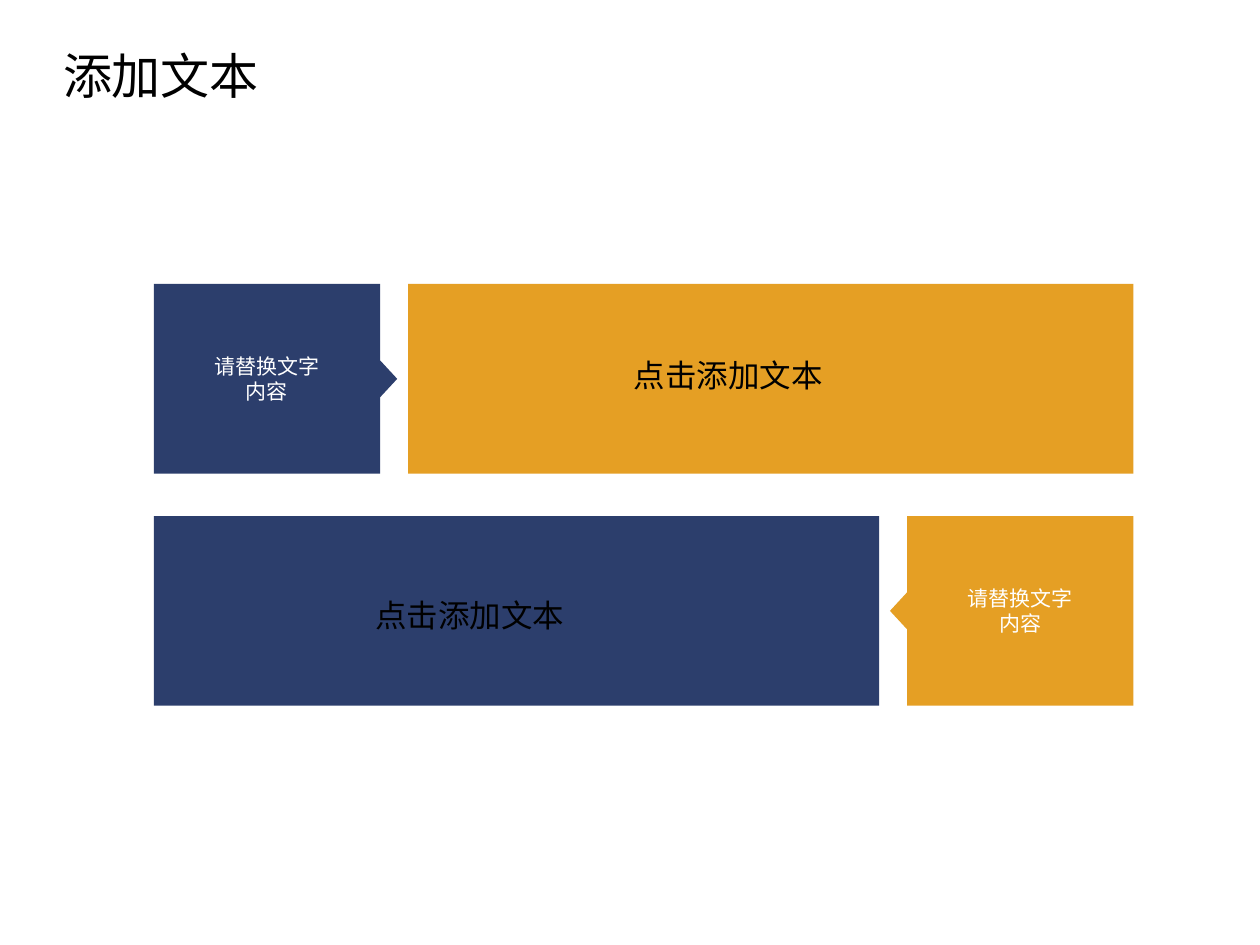
from dataclasses import dataclass

from lxml import etree
from pptx import Presentation
from pptx.dml.color import RGBColor
from pptx.enum.shapes import MSO_SHAPE
from pptx.enum.text import MSO_ANCHOR, MSO_AUTO_SIZE, PP_ALIGN
from pptx.oxml.ns import qn
from pptx.util import Pt

RECTANGLE = MSO_SHAPE.RECTANGLE
TOP = MSO_ANCHOR.TOP
NO_AUTOFIT = MSO_AUTO_SIZE.NONE
LEFT, CENTER = PP_ALIGN.LEFT, PP_ALIGN.CENTER

NAVY, AMBER, WHITE, BLACK = "2C3E6C", "E59F24", "FFFFFF", "000000"
LABEL_FONT, BODY_FONT = "Arial", "Noto Sans CJK SC"

# Grid of the two rows, in points
ROW_LEFT, ROW_RIGHT = 88, 647.6
ROW_HEIGHT = 108.4
TAG_WIDTH, PANEL_WIDTH = 129.2, 414.4
POINTER_DEPTH, POINTER_HALF = 9.8, 10.6
LABEL_WIDTH, LABEL_HEIGHT, LABEL_DROP = 65.5, 28.8, 39.8


@dataclass
class TextStyle:
    size: float
    font: str
    color: str
    align: PP_ALIGN = LEFT
    wrap: bool = False
    inset_x: float = 7.2
    inset_y: float = 3.6


@dataclass
class Row:
    top: float
    tag_on_left: bool
    tag_color: str
    panel_color: str
    label_left: float
    panel_text_at: tuple[float, float]


TITLE_STYLE = TextStyle(28, BODY_FONT, BLACK)
PANEL_STYLE = TextStyle(18, BODY_FONT, BLACK)
LABEL_STYLE = TextStyle(12, LABEL_FONT, WHITE, CENTER, True, 0, 0)

ROWS = [
    Row(162.3, True, NAVY, AMBER, 119.6, (355, 199.7)),
    Row(294.9, False, AMBER, NAVY, 550.3, (207.5, 337)),
]


def rgb(color: str) -> RGBColor:
    return RGBColor.from_string(color)


def paint(shape, color: str) -> None:
    shape.shadow.inherit = False
    shape.fill.solid()
    shape.fill.fore_color.rgb = rgb(color)
    shape.line.fill.background()


def write(shape, text: str, style: TextStyle) -> None:
    frame = shape.text_frame
    frame_format = {
        "word_wrap": style.wrap,
        "auto_size": NO_AUTOFIT,
        "vertical_anchor": TOP,
        "margin_left": Pt(style.inset_x),
        "margin_right": Pt(style.inset_x),
        "margin_top": Pt(style.inset_y),
        "margin_bottom": Pt(style.inset_y),
    }
    for attribute, value in frame_format.items():
        setattr(frame, attribute, value)
    paragraph = frame.paragraphs[0]
    paragraph.alignment = style.align
    run = paragraph.add_run()
    run.text = text
    for attribute, value in {"size": Pt(style.size), "name": style.font}.items():
        setattr(run.font, attribute, value)
    run.font.color.rgb = rgb(style.color)
    # Chinese characters take the East Asian typeface
    east_asian = etree.SubElement(run.font._element, qn("a:ea"))
    east_asian.set("typeface", style.font)


def add_text(slide, left: float, top: float, width: float, height: float,
             text: str, style: TextStyle) -> None:
    box = slide.shapes.add_textbox(Pt(left), Pt(top), Pt(width), Pt(height))
    write(box, text, style)


def add_tag(slide, row: Row) -> None:
    """Draw the small box whose pointer aims at the panel."""
    if row.tag_on_left:
        outer, inner, tip = ROW_LEFT, ROW_LEFT + TAG_WIDTH, POINTER_DEPTH
    else:
        outer, inner, tip = ROW_RIGHT, ROW_RIGHT - TAG_WIDTH, -POINTER_DEPTH
    middle, bottom = row.top + ROW_HEIGHT / 2, row.top + ROW_HEIGHT
    outline = [
        (outer, row.top), (inner, row.top), (inner, middle - POINTER_HALF),
        (inner + tip, middle), (inner, middle + POINTER_HALF),
        (inner, bottom), (outer, bottom),
    ]
    points = [(Pt(x), Pt(y)) for x, y in outline]
    builder = slide.shapes.build_freeform(*points[0])
    builder.add_line_segments(points[1:], close=True)
    paint(builder.convert_to_shape(), row.tag_color)


def add_row(slide, row: Row) -> None:
    panel_left = ROW_RIGHT - PANEL_WIDTH if row.tag_on_left else ROW_LEFT
    panel = slide.shapes.add_shape(RECTANGLE, Pt(panel_left), Pt(row.top),
                                   Pt(PANEL_WIDTH), Pt(ROW_HEIGHT))
    paint(panel, row.panel_color)
    add_tag(slide, row)
    add_text(slide, row.label_left, row.top + LABEL_DROP, LABEL_WIDTH,
             LABEL_HEIGHT, "请替换文字内容", LABEL_STYLE)
    add_text(slide, *row.panel_text_at, 122.4, 28.8, "点击添加文本", PANEL_STYLE)


def main() -> None:
    deck = Presentation()
    deck.slide_width, deck.slide_height = Pt(720), Pt(540)
    slide = deck.slides.add_slide(deck.slide_layouts[5])

    # Title, wide enough to hold its text on one line
    title = slide.shapes.title
    place = {"left": 28.8, "top": 22.3, "width": 140, "height": 41}
    for attribute, value in place.items():
        setattr(title, attribute, Pt(value))
    write(title, "添加文本", TITLE_STYLE)

    # Tag and panel rows
    for row in ROWS:
        add_row(slide, row)

    deck.save("out.pptx")


if __name__ == "__main__":
    main()
